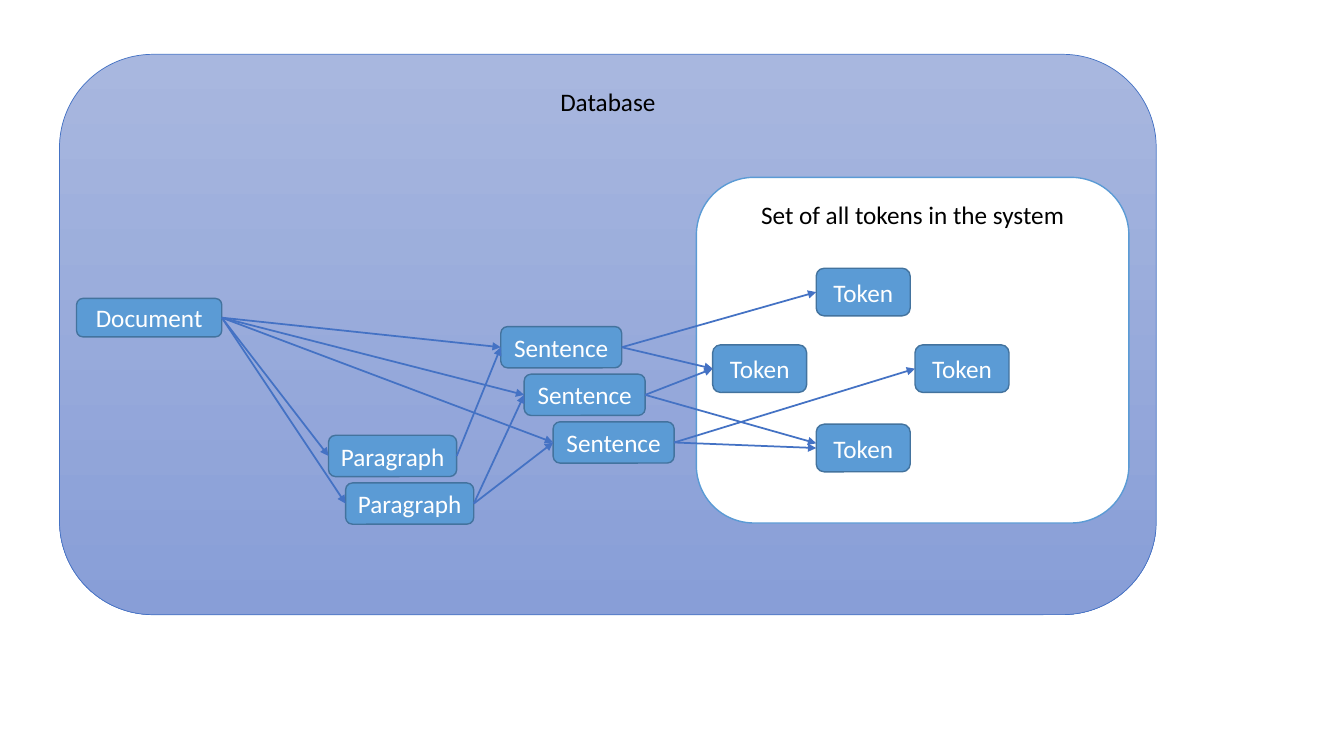
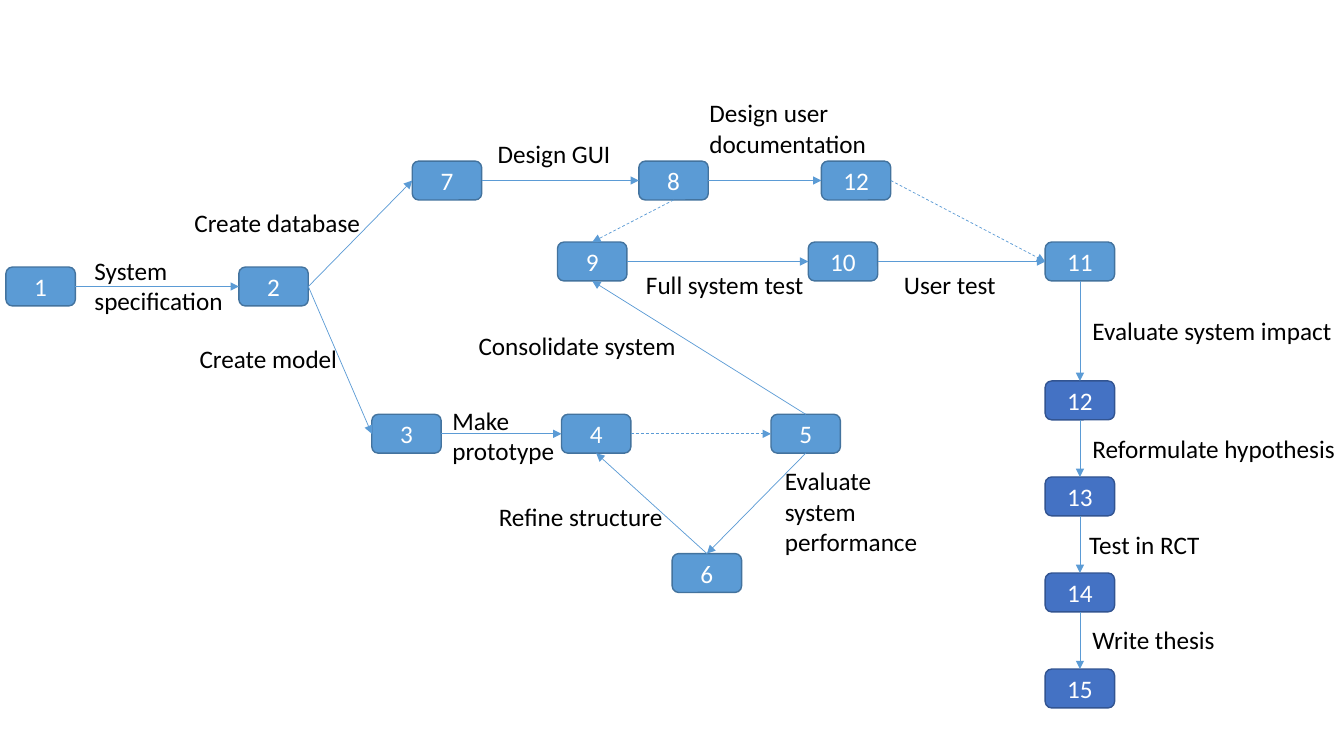
import pptx
import pptx.util
import pptx.dml.color
import pptx.enum.dml
import pptx.enum.shapes
import pptx.enum.text
import pptx.oxml
import pptx.oxml.ns

Cm = pptx.util.Cm
Pt = pptx.util.Pt
ALIGN = pptx.enum.text.PP_ALIGN
ANCHOR = pptx.enum.text.MSO_ANCHOR
TOP, LEFT, BASE, RIGHT = range(4)

HUES = {
    "sky": "5B9BD5",
    "edge": "43739E",
    "blue": "4472C4",
    "navy": "325491",
    "pale": "A8B7DF",
    "deep": "889ED7",
    "white": "FFFFFF",
    "black": "000000",
}


def hue(name):
    return pptx.dml.color.RGBColor.from_string(HUES[name])


def write(frame, text, color="black", align=ALIGN.LEFT, anchor=ANCHOR.TOP, wrap=True):
    frame.word_wrap = wrap
    frame.vertical_anchor = anchor
    para = frame.paragraphs[0]
    para.alignment = align
    run = para.add_run()
    run.text = text
    run.font.name = "Calibri"
    run.font.size = Pt(18)
    run.font.color.rgb = hue(color)


class Deck:
    def __init__(self):
        self.show = pptx.Presentation()
        self.show.slide_width = Cm(33.87)
        self.show.slide_height = Cm(19.05)
        self.slide = None

    def page(self):
        self.slide = self.show.slides.add_slide(self.show.slide_layouts[6])

    def box(self, place, fill, edge, width=1):
        kind = pptx.enum.shapes.MSO_SHAPE.ROUNDED_RECTANGLE
        shape = self.slide.shapes.add_shape(kind, *map(Cm, place))
        shape.shadow.inherit = False
        if isinstance(fill, tuple):
            shape.fill.gradient()
            shape.fill.gradient_angle = 270
            for stop, name in zip(shape.fill.gradient_stops, fill):
                stop.color.rgb = hue(name)
        else:
            shape.fill.solid()
            shape.fill.fore_color.rgb = hue(fill)
        shape.line.color.rgb = hue(edge)
        shape.line.width = Pt(width)
        return shape

    def panel(self, text, place, fill, edge, width=1):
        shape = self.box(place, fill, edge, width)
        write(shape.text_frame, text, align=ALIGN.CENTER)

    def node(self, text, place, fill="sky", edge="edge"):
        shape = self.box(place, fill, edge)
        write(shape.text_frame, text, color="white", align=ALIGN.CENTER,
              anchor=ANCHOR.MIDDLE, wrap=False)
        return shape

    def label(self, text, left, top, width, lines=1):
        place = (left, top, width, 0.25 + 0.77 * lines)
        area = self.slide.shapes.add_textbox(*map(Cm, place))
        write(area.text_frame, text, wrap=lines > 1)

    def arrow(self, start, end, exit=RIGHT, entry=LEFT, color="sky", width=0.5,
              dash=False, shift=0):
        kind = pptx.enum.shapes.MSO_CONNECTOR.STRAIGHT
        line = self.slide.shapes.add_connector(kind, 0, 0, 0, 0)
        line.begin_connect(start, exit)
        if shift:
            line.end_x = end.left
            line.end_y = end.top + end.height // 2 + Cm(shift)
        else:
            line.end_connect(end, entry)
        line.line.color.rgb = hue(color)
        line.line.width = Pt(width)
        if dash:
            line.line.dash_style = pptx.enum.dml.MSO_LINE.DASH
        props = line.element.spPr
        tip = pptx.oxml.parse_xml(
            f'<a:tailEnd {pptx.oxml.ns.nsdecls("a")} type="triangle"/>')
        props.find(pptx.oxml.ns.qn("a:ln")).append(tip)
        props.append(pptx.oxml.parse_xml(
            f'<a:effectLst {pptx.oxml.ns.nsdecls("a")}/>'))


def model(deck):
    deck.page()
    deck.panel("Database", (1.5, 1.37, 27.64, 14.12), ("pale", "deep"), "blue", 0.5)
    deck.panel("Set of all tokens in the system", (17.55, 4.47, 10.9, 8.71),
               "white", "sky")
    kinds = {
        "Sentence": (3.05, 1.04, [(12.62, 8.23), (13.21, 9.43), (13.94, 10.63)]),
        "Token": (2.37, 1.2, [(20.57, 6.76), (17.96, 8.69), (23.06, 8.69),
                              (20.57, 10.69)]),
        "Paragraph": (3.23, 1.04, [(8.28, 10.97), (8.71, 12.17)]),
        "Document": (3.66, 0.97, [(1.93, 7.52)]),
    }
    nodes = {}
    for name, (width, height, spots) in kinds.items():
        for num, spot in enumerate(spots, 1):
            nodes[name[0] + str(num)] = deck.node(name, (*spot, width, height))
    links = {
        "S1": ["T1", "T2"],
        "S2": ["T2", "T4"],
        "S3": ["T3", "T4"],
        "P1": ["S1"],
        "P2": ["S2", "S3"],
        "D1": ["S1", "S2", "S3", "P1", "P2"],
    }
    for start, ends in links.items():
        for end in ends:
            shift = -0.12 if (start, end) == ("S2", "T4") else 0
            deck.arrow(nodes[start], nodes[end], color="blue", width=1.25, shift=shift)


def plan(deck):
    deck.page()
    size = (1.75, 0.98)
    upper, mid, lower, last = 4.06, 6.1, 10.44, 26.34
    spots = {
        "1": (0.15, 6.73), "2": (6.02, 6.73), "3": (9.37, lower),
        "4": (14.15, lower), "5": (19.43, lower), "6": (16.94, 13.95),
        "7": (10.39, upper), "8": (16.1, upper), "12": (20.7, upper),
        "9": (14.05, mid), "10": (20.37, mid), "11": (last, mid),
    }
    nodes = {name: deck.node(name, spot + size) for name, spot in spots.items()}

    flows = [("1", "2"), ("2", "7"), ("2", "3"), ("3", "4"), ("7", "8"),
             ("8", "12"), ("9", "10"), ("10", "11")]
    for start, end in flows:
        deck.arrow(nodes[start], nodes[end])
    for start, end in [("4", "5"), ("12", "11")]:
        deck.arrow(nodes[start], nodes[end], dash=True)
    deck.arrow(nodes["8"], nodes["9"], BASE, TOP, dash=True)
    deck.arrow(nodes["5"], nodes["6"], BASE, TOP)
    for start, end in [("6", "4"), ("5", "9")]:
        deck.arrow(nodes[start], nodes[end], TOP, BASE)

    prior = nodes["11"]
    for row, name in enumerate(["12", "13", "14", "15"]):
        step = deck.node(name, (last, 9.6 + 2.42 * row, *size), "blue", "navy")
        deck.arrow(prior, step, BASE, TOP)
        prior = step

    labels = [
        ("System specification", 2.13, 6.3, 3.76, 2),
        ("Create model", 4.78, 8.53, 4.01),
        ("Refine structure", 12.32, 12.5, 4.7),
        ("Make prototype", 11.15, 10.08, 3.2, 2),
        ("Design GUI", 12.29, 3.35, 3.38),
        ("Create database", 4.65, 5.11, 4.72),
        ("Consolidate system", 11.81, 8.2, 5.54),
        ("Full system test", 16.03, 6.65, 4.52),
        ("User test", 22.53, 6.65, 2.84),
        ("Design user documentation", 17.63, 2.34, 4.6, 2),
        ("Evaluate system performance", 19.53, 11.61, 4.24, 3),
        ("Evaluate system impact", 27.28, 7.82, 6.6),
        ("Reformulate hypothesis", 27.28, 10.8, 6.68),
        ("Test in RCT", 27.2, 13.21, 3.33),
        ("Write thesis", 27.28, 15.6, 3.63),
    ]
    for item in labels:
        deck.label(*item)


def main():
    deck = Deck()
    model(deck)
    plan(deck)
    deck.show.save("out.pptx")


if __name__ == "__main__":
    main()
